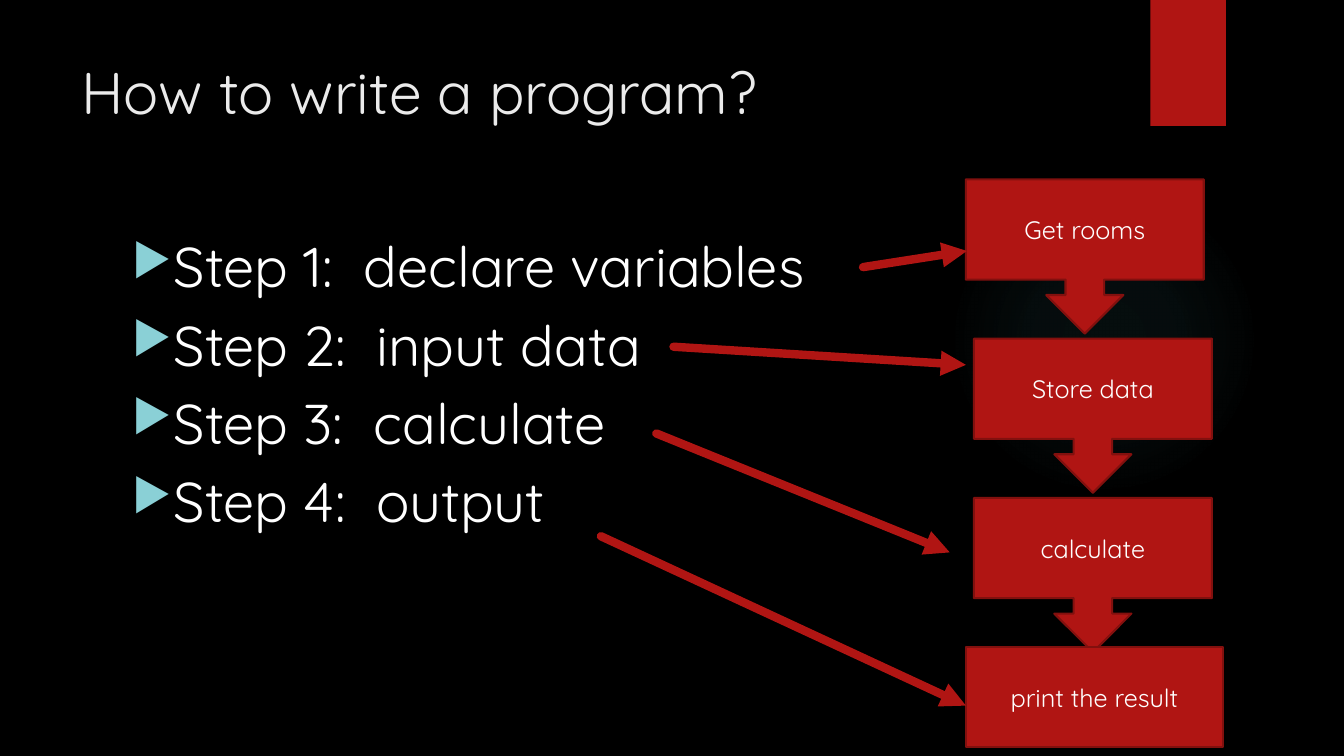
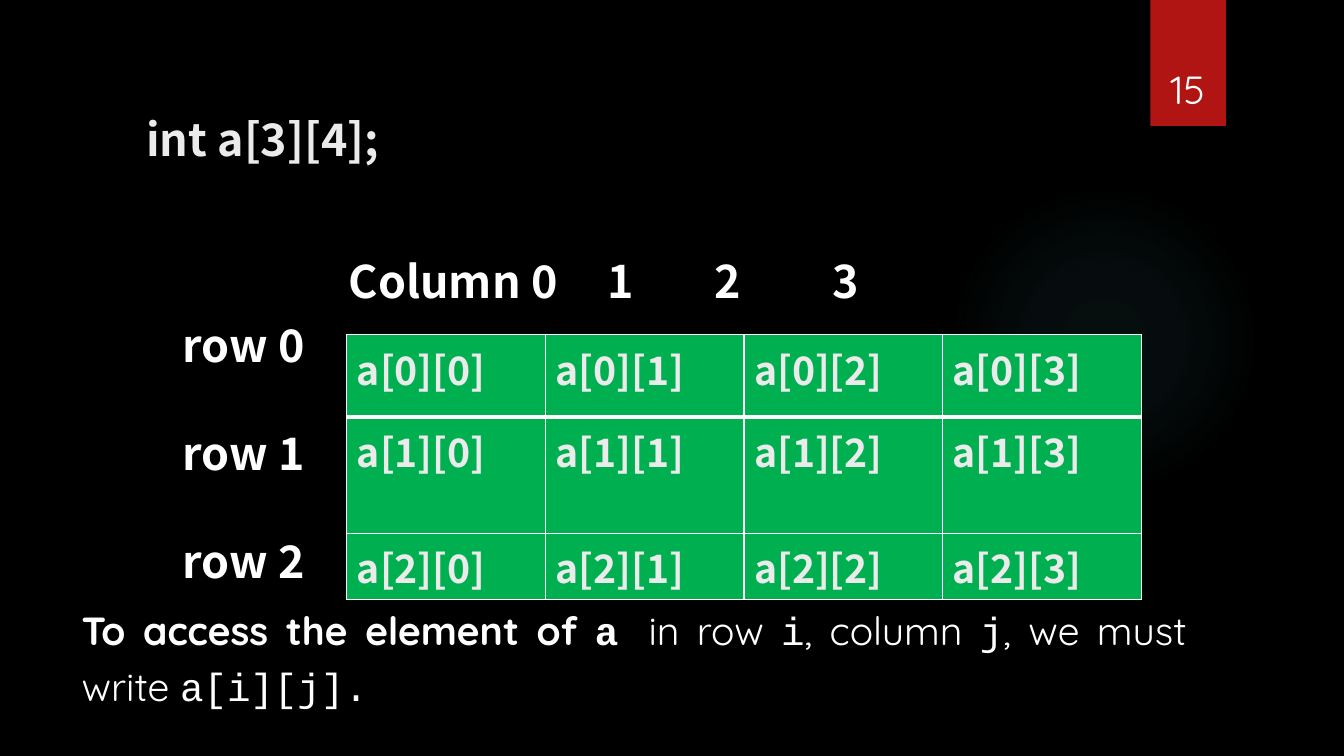
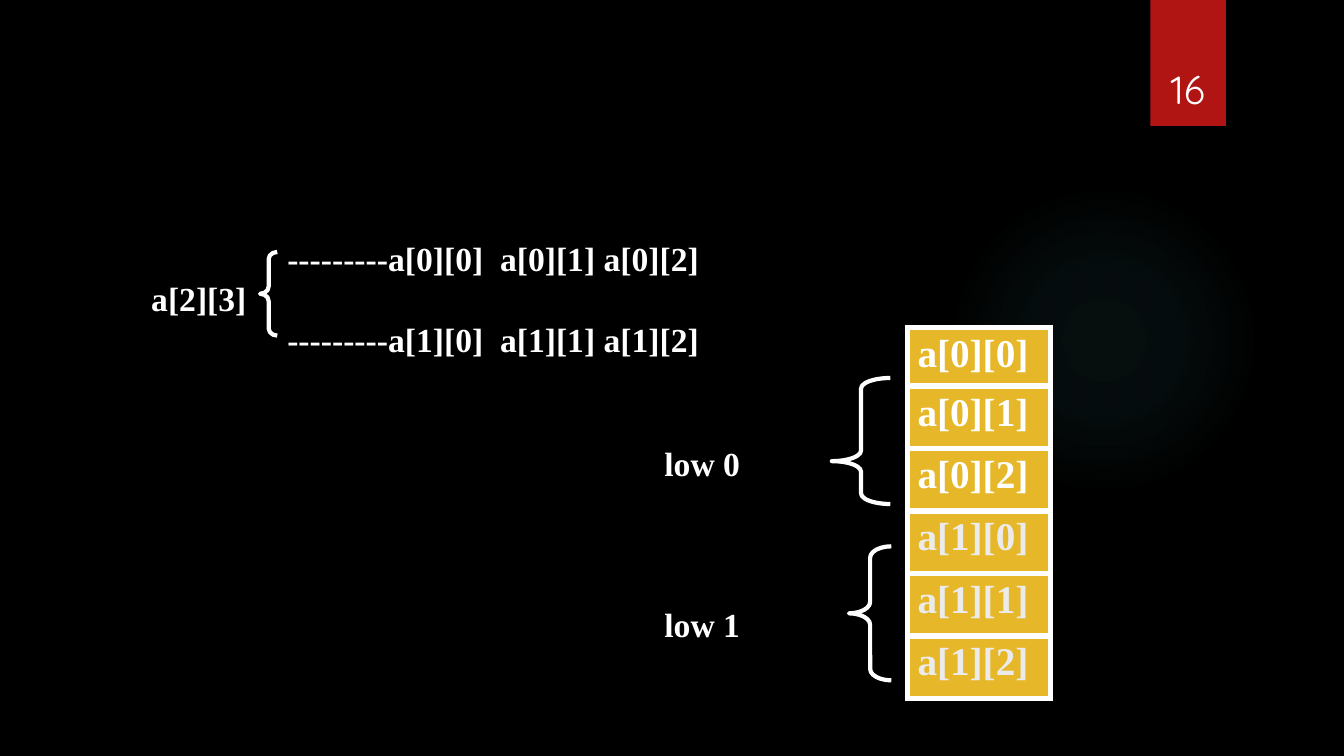
from dataclasses import dataclass

from pptx import Presentation
from pptx.dml.color import RGBColor
from pptx.enum.shapes import MSO_CONNECTOR, MSO_SHAPE
from pptx.enum.text import MSO_ANCHOR, PP_ALIGN
from pptx.oxml import parse_xml
from pptx.oxml.ns import nsdecls, qn
from pptx.util import Inches, Pt


@dataclass(frozen=True)
class Theme:
    back: str = "000000"
    white: str = "FFFFFF"
    soft: str = "EBEBEB"
    red: str = "B01513"
    edge: str = "82100E"
    glow: str = "50B9C1"
    bullet: str = "8AD0D6"
    green: str = "00B050"
    gold: str = "E6B729"
    main: str = "Quicksand"
    sans: str = "Noto Sans CJK SC"
    serif: str = "Times New Roman"
    mono: str = "Courier New"
    title: int = 42
    body: int = 40
    head: int = 32
    text: int = 28
    note: int = 24
    label: int = 18


T = Theme()
WIDTH, HEIGHT = 13.33, 7.5

TITLE = "How to write a program?"
STEPS = [
    "Step 1:  declare variables",
    "Step 2:  input data",
    "Step 3:  calculate",
    "Step 4:  output",
]
STAGES = [("Get rooms", 9.58), ("Store data", 9.66), ("calculate", 9.66)]
RESULT = "print the result"
LINKS = [
    (8.56, 2.65, 9.59, 2.49),
    (6.68, 3.44, 9.58, 3.62),
    (6.51, 4.3, 9.42, 5.48),
    (5.96, 5.32, 9.58, 7),
]

DECLARATION = "int a[3][4];"
COLUMN_HEADS = [("Column 0", 3.46), ("1", 6.03), ("2", 7.09), ("3", 8.26)]
ROW_HEADS = ["row 0", "row 1", "row 2"]
ARRAY = [[f"a[{i}][{j}]" for j in range(4)] for i in range(3)]
ACCESS = [
    ("To access the element of ", T.main, True),
    ("a ", T.mono, True),
    ("in row ", T.main, False),
    ("i", T.mono, False),
    (", column ", T.main, False),
    ("j", T.mono, False),
    (", we must write ", T.main, False),
    ("a[i][j].", T.mono, False),
]

MEMORY = [[f"a[{i}][{j}]"] for i in range(2) for j in range(3)]
NOTES = [
    ("---------a[0][0]  a[0][1] a[0][2]", 2.85, 2.36),
    ("a[2][3]", 1.5, 2.76),
    ("---------a[1][0]  a[1][1] a[1][2]", 2.85, 3.16),
    ("low 0", 6.59, 4.39),
    ("low 1", 6.59, 5.99),
]
BRACES = [
    ((2.58, 2.5, 0.17, 0.83), (0.42, 0.5)),
    ((8.25, 3.75, 0.58, 1.25), (0.18, 0.66)),
    ((8.42, 5.42, 0.42, 1.33), (0.27, 0.5)),
]


def rgb(color):
    return RGBColor.from_string(color)


def style(r, size, font, color=T.white, bold=False):
    r.font.size = Pt(size)
    r.font.name = font
    r.font.bold = bold
    r.font.color.rgb = rgb(color)


def add_text(s, lines, box, size, font=T.main, color=T.white, bold=False):
    tf = s.shapes.add_textbox(*map(Inches, box)).text_frame
    tf.word_wrap = True
    tf.margin_left = tf.margin_right = tf.margin_top = tf.margin_bottom = 0
    tf.text = "\n".join(lines)
    for p in tf.paragraphs:
        for r in p.runs:
            style(r, size, font, color, bold)
    return tf


def add_shape(s, kind, box, fill=None, line=None, width=1.5):
    sp = s.shapes.add_shape(kind, *map(Inches, box))
    sp.shadow.inherit = False
    if fill:
        sp.fill.solid()
        sp.fill.fore_color.rgb = rgb(fill)
    else:
        sp.fill.background()
    if line:
        sp.line.color.rgb = rgb(line)
        sp.line.width = Pt(width)
    else:
        sp.line.fill.background()
    return sp


def add_block(s, kind, box, label):
    sp = add_shape(s, kind, box, T.red, T.edge)
    tf = sp.text_frame
    tf.text = label
    tf.vertical_anchor = MSO_ANCHOR.MIDDLE
    p = tf.paragraphs[0]
    p.alignment = PP_ALIGN.CENTER
    style(p.runs[0], T.label, T.main)


def add_arrow(s, ends):
    cn = s.shapes.add_connector(MSO_CONNECTOR.STRAIGHT, *map(Inches, ends))
    cn.line.color.rgb = rgb(T.red)
    cn.line.width = Pt(6)
    ln = cn.line._get_or_add_ln()
    ln.set("cap", "rnd")
    ln.append(parse_xml(f'<a:tailEnd {nsdecls("a")} type="triangle"/>'))
    cn._element.spPr.append(parse_xml(f'<a:effectLst {nsdecls("a")}/>'))


def add_border(cell, sides):
    tc = cell._tc.get_or_add_tcPr()
    for side, width in zip("LRTB", sides):
        tc.append(parse_xml(
            f'<a:ln{side} {nsdecls("a")} w="{Pt(width)}"><a:solidFill>'
            f'<a:srgbClr val="{T.white}"/></a:solidFill></a:ln{side}>'))


def add_grid(s, rows, left, top, col_width, heights, fill, font, color_of, border_of):
    size = (col_width * len(rows[0]), sum(heights))
    table = s.shapes.add_table(len(rows), len(rows[0]),
                               *map(Inches, (left, top, *size))).table
    for col in table.columns:
        col.width = Inches(col_width)
    for i, (values, height) in enumerate(zip(rows, heights)):
        table.rows[i].height = Inches(height)
        for j, value in enumerate(values):
            cell = table.cell(i, j)
            cell.text = value
            style(cell.text_frame.paragraphs[0].runs[0], T.text, font, color_of(i), True)
            add_border(cell, border_of(i))
            cell.fill.solid()
            cell.fill.fore_color.rgb = rgb(fill)


def new_slide(prs, number=None):
    s = prs.slides.add_slide(prs.slide_layouts[6])
    glow = add_shape(s, MSO_SHAPE.OVAL, (9.41, 1.83, 3.08, 3.08))
    stops = "".join(
        f'<a:gs pos="{pos * 1000}"><a:srgbClr val="{T.glow}">'
        f'<a:alpha val="{alpha * 1000}"/></a:srgbClr></a:gs>'
        for pos, alpha in ((0, 7), (36, 6), (69, 0)))
    spPr = glow._element.spPr
    spPr.replace(spPr.find(qn("a:noFill")), parse_xml(
        f'<a:gradFill {nsdecls("a")}><a:gsLst>{stops}</a:gsLst><a:path path="circle">'
        '<a:fillToRect l="50000" t="50000" r="50000" b="50000"/></a:path></a:gradFill>'))
    add_shape(s, MSO_SHAPE.RECTANGLE, (11.41, 0, 0.75, 1.25), T.red)
    if number:
        tf = add_text(s, [str(number)], (11.32, 0.37, 0.92, 0.74), T.text)
        tf.vertical_anchor = MSO_ANCHOR.BOTTOM
        tf.paragraphs[0].alignment = PP_ALIGN.CENTER
    return s


def add_bullet(p):
    p.space_before = Pt(8)
    pPr = p._p.get_or_add_pPr()
    pPr.set("marL", str(Inches(0.38)))
    pPr.set("indent", str(-Inches(0.38)))
    for xml in (f'<a:buClr {nsdecls("a")}><a:srgbClr val="{T.bullet}"/></a:buClr>',
                f'<a:buSzPct {nsdecls("a")} val="80000"/>',
                f'<a:buChar {nsdecls("a")} char="▶"/>'):
        pPr.append(parse_xml(xml))


def steps_slide(prs):
    s = new_slide(prs)
    add_text(s, [TITLE], (0.81, 0.55, 10.09, 1.43), T.title, color=T.soft)
    for p in add_text(s, STEPS, (1.31, 2.3, 9.58, 4.49), T.body).paragraphs:
        add_bullet(p)
    for i, (label, left) in enumerate(STAGES):
        add_block(s, MSO_SHAPE.DOWN_ARROW_CALLOUT,
                  (left, 1.78 + 1.58 * i, 2.36, 1.53), label)
    add_block(s, MSO_SHAPE.RECTANGLE, (9.58, 6.42, 2.55, 0.99), RESULT)
    for ends in LINKS:
        add_arrow(s, ends)


def array_slide(prs):
    s = new_slide(prs, 15)
    add_grid(s, ARRAY, 3.44, 3.32, 1.97, [0.82, 1.15, 0.66], T.green, T.sans,
             lambda i: T.soft,
             lambda i: (1, 1, 3 if i == 1 else 1, 3 if i == 0 else 1))
    heads = [(DECLARATION, 1.45, 1.11, T.soft)]
    heads += [(label, left, 2.52, T.white) for label, left in COLUMN_HEADS]
    heads += [(label, 1.81, 3.15 + 1.07 * i, T.white) for i, label in enumerate(ROW_HEADS)]
    for label, left, top, color in heads:
        add_text(s, [label], (left, top, 2.5, 0.54), T.head, T.sans, color, True)
    p = add_text(s, [""], (0.81, 5.92, 10.96, 1.13), T.text).paragraphs[0]
    p.alignment = PP_ALIGN.JUSTIFY
    p.line_spacing = 1.2
    for words, font, bold in ACCESS:
        r = p.add_run()
        r.text = words
        style(r, T.text, font, bold=bold)


def memory_slide(prs):
    s = new_slide(prs, 16)
    add_grid(s, MEMORY, 9, 3.25, 1.42, [0.58] + [0.62] * 5, T.gold, T.serif,
             lambda i: T.white if i < 3 else T.soft,
             lambda i: (4.5,) * 4)
    for words, left, top in NOTES:
        add_text(s, [words], (left, top, 4.5, 0.4), T.note, T.serif, bold=True)
    for box, (curl, point) in BRACES:
        sp = add_shape(s, MSO_SHAPE.LEFT_BRACE, box, line=T.white, width=3)
        sp.adjustments[0] = curl
        sp.adjustments[1] = point


def main():
    prs = Presentation()
    prs.slide_width, prs.slide_height = Inches(WIDTH), Inches(HEIGHT)
    fill = prs.slide_master.background.fill
    fill.solid()
    fill.fore_color.rgb = rgb(T.back)
    for build in (steps_slide, array_slide, memory_slide):
        build(prs)
    prs.save("out.pptx")


if __name__ == "__main__":
    main()
